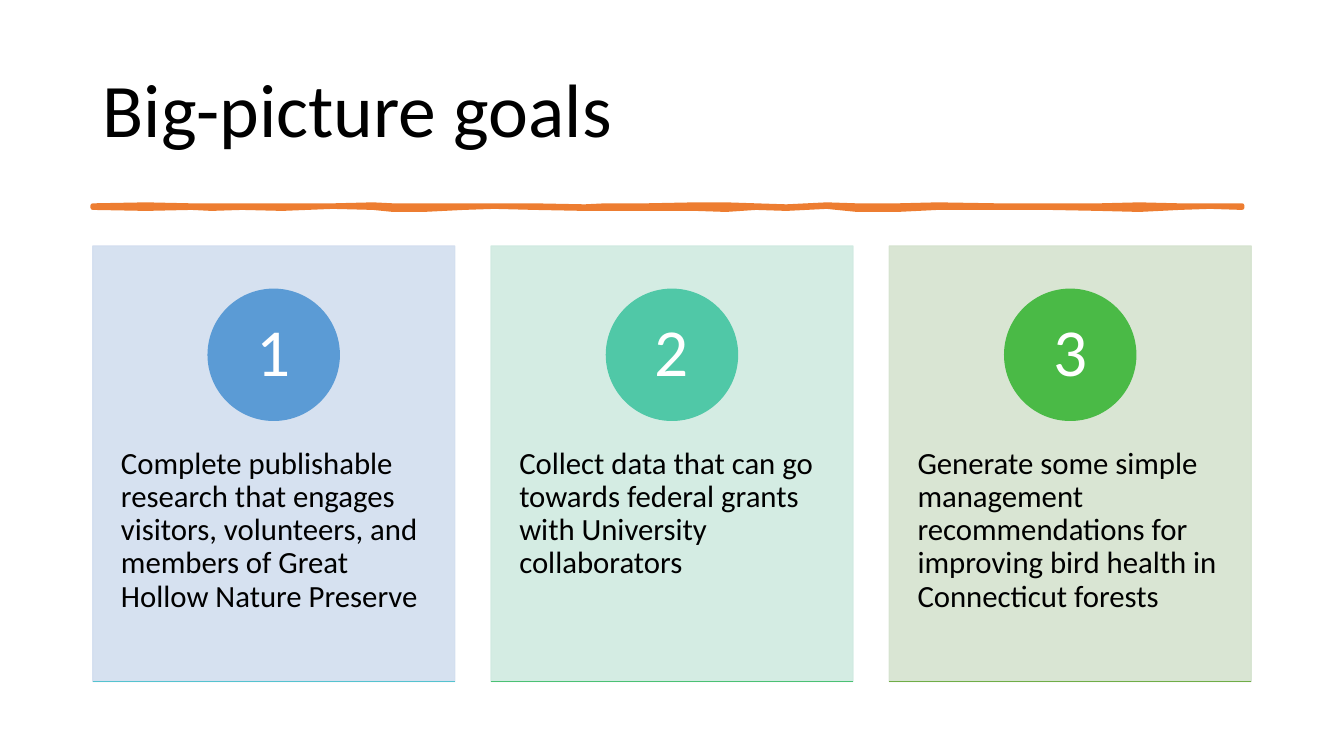
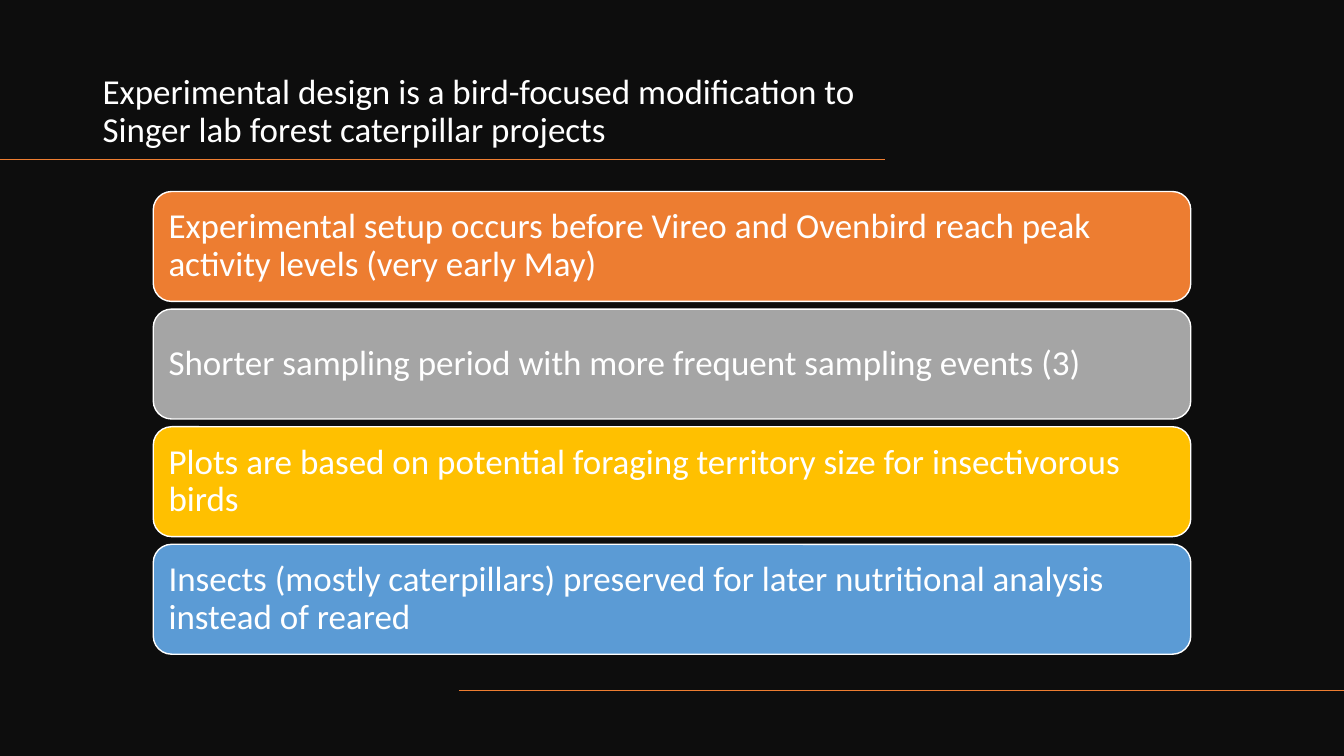
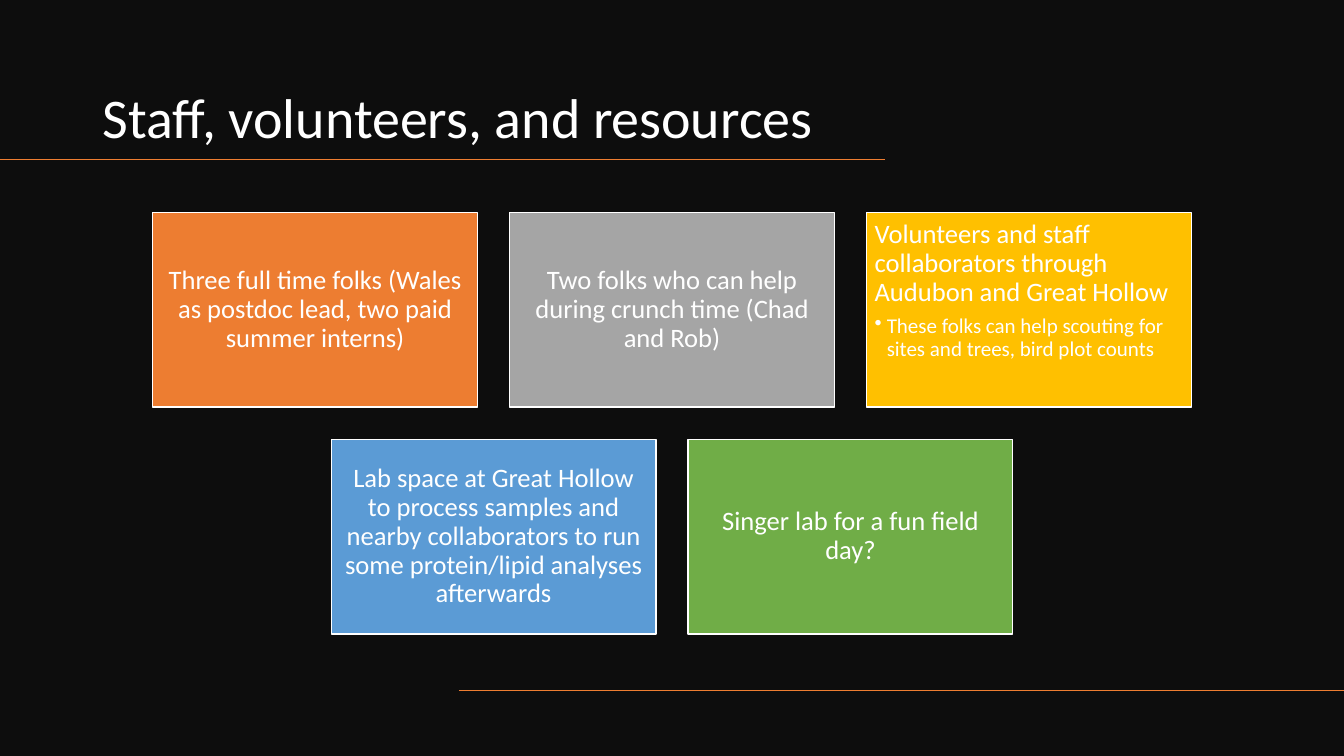
from dataclasses import dataclass

from lxml import etree
from pptx import Presentation
from pptx.dml.color import RGBColor
from pptx.enum.shapes import MSO_CONNECTOR, MSO_SHAPE
from pptx.enum.text import MSO_ANCHOR, PP_ALIGN
from pptx.oxml.ns import qn
from pptx.util import Inches, Pt

RECT = MSO_SHAPE.RECTANGLE
ROUND = MSO_SHAPE.ROUNDED_RECTANGLE
OVAL = MSO_SHAPE.OVAL
STRAIGHT = MSO_CONNECTOR.STRAIGHT
TOP, MIDDLE, BOTTOM = MSO_ANCHOR.TOP, MSO_ANCHOR.MIDDLE, MSO_ANCHOR.BOTTOM
LEFT, CENTER = PP_ALIGN.LEFT, PP_ALIGN.CENTER

WIDE, HIGH = 13.33, 7.5
FONT = "Calibri"
HEX = {
    "black": "000000", "white": "FFFFFF", "night": "0D0D0D",
    "orange": "ED7D31", "gray": "A5A5A5", "gold": "FFC000",
    "blue": "5B9BD5", "green": "70AD47",
    "pale blue": "D2DEEF", "pale teal": "D0EAE1", "pale green": "D5E3CF",
    "teal": "50C8A7", "leaf": "4ABA46", "aqua": "55C3CF", "mint": "4BC174",
}


@dataclass
class Box:
    x: float
    y: float
    w: float
    h: float


@dataclass
class Text:
    words: str
    size: float
    color: str = "white"
    align: PP_ALIGN = LEFT
    bullet: bool = False


@dataclass
class Goal:
    words: str
    card: str
    disc: str
    edge: str


@dataclass
class Tile:
    color: str
    words: str
    point: str = ""


# Content
GOALS = [
    Goal("Complete publishable research that engages visitors, volunteers, "
         "and members of Great Hollow Nature Preserve",
         "pale blue", "blue", "aqua"),
    Goal("Collect data that can go towards federal grants with University "
         "collaborators", "pale teal", "teal", "mint"),
    Goal("Generate some simple management recommendations for improving bird "
         "health in Connecticut forests", "pale green", "leaf", "green"),
]
STEPS = [
    Tile("orange", "Experimental setup occurs before Vireo and Ovenbird reach "
         "peak activity levels (very early May)"),
    Tile("gray", "Shorter sampling period with more frequent sampling events (3)"),
    Tile("gold", "Plots are based on potential foraging territory size for "
         "insectivorous birds"),
    Tile("blue", "Insects (mostly caterpillars) preserved for later nutritional "
         "analysis instead of reared"),
]
ROWS = [
    [
        Tile("orange", "Three full time folks (Wales as postdoc lead, two paid "
             "summer interns)"),
        Tile("gray", "Two folks who can help during crunch time (Chad and Rob)"),
        Tile("gold", "Volunteers and staff collaborators through Audubon and "
             "Great Hollow",
             "These folks can help scouting for sites and trees, bird plot counts"),
    ],
    [
        Tile("blue", "Lab space at Great Hollow to process samples and nearby "
             "collaborators to run some protein/lipid analyses afterwards"),
        Tile("green", "Singer lab for a fun field day?"),
    ],
]
# Brush stroke: x, top edge, bottom edge
BRUSH = [
    (0.92, 2.04, 2.06), (1.45, 2.03, 2.07), (1.9, 2.04, 2.06),
    (2.1, 2.04, 2.07), (2.4, 2.04, 2.06), (2.8, 2.04, 2.07),
    (3.3, 2.04, 2.05), (3.7, 2.03, 2.06), (3.9, 2.04, 2.08),
    (4.2, 2.04, 2.08), (4.6, 2.04, 2.06), (4.9, 2.04, 2.05),
    (5.3, 2.04, 2.06), (5.8, 2.05, 2.07), (6.0, 2.04, 2.07),
    (6.4, 2.04, 2.07), (6.9, 2.03, 2.07), (7.2, 2.03, 2.08),
    (7.5, 2.04, 2.06), (7.8, 2.05, 2.07), (8.2, 2.03, 2.05),
    (8.5, 2.04, 2.08), (8.9, 2.04, 2.08), (9.3, 2.03, 2.06),
    (9.9, 2.04, 2.06), (10.4, 2.04, 2.06), (10.9, 2.04, 2.07),
    (11.3, 2.03, 2.08), (11.7, 2.04, 2.06), (12.0, 2.04, 2.05),
    (12.32, 2.04, 2.06),
]


# Shared parts
def rgb(name: str) -> RGBColor:
    return RGBColor.from_string(HEX[name])


def write(shape, texts: list[Text], anchor: MSO_ANCHOR, pads=(0.1, 0.05, 0.1, 0.05)) -> None:
    frame = shape.text_frame
    frame.word_wrap = True
    frame.vertical_anchor = anchor
    (frame.margin_left, frame.margin_top,
     frame.margin_right, frame.margin_bottom) = map(Inches, pads)
    for i, text in enumerate(texts):
        para = frame.add_paragraph() if i else frame.paragraphs[0]
        if text.bullet:
            props = para._p.get_or_add_pPr()
            props.set("marL", str(Inches(0.12)))
            props.set("indent", str(-Inches(0.12)))
            etree.SubElement(props, qn("a:buChar")).set("char", "•")
        para.alignment = text.align
        para.line_spacing = 0.9
        if i:
            para.space_before = Pt(6)
        run = para.add_run()
        run.text = text.words
        run.font.name = FONT
        run.font.size = Pt(text.size)
        run.font.color.rgb = rgb(text.color)


def paint(shape, fill: str, line: str, width: float = 1) -> None:
    shape.shadow.inherit = False
    shape.fill.solid()
    shape.fill.fore_color.rgb = rgb(fill)
    shape.line.color.rgb = rgb(line)
    shape.line.width = Pt(width)


def draw(slide, kind: MSO_SHAPE, box: Box, fill: str, line: str):
    shape = slide.shapes.add_shape(
        kind, Inches(box.x), Inches(box.y), Inches(box.w), Inches(box.h))
    paint(shape, fill, line)
    return shape


def fade(shape, percent: int) -> None:
    for color in shape._element.spPr.iter(qn("a:srgbClr")):
        etree.SubElement(color, qn("a:alpha")).set("val", str(percent * 1000))


def rule(slide, x: float, y: float, end: float, color: str) -> None:
    line = slide.shapes.add_connector(
        STRAIGHT, Inches(x), Inches(y), Inches(end), Inches(y))
    line.line.color.rgb = rgb(color)
    line.line.width = Pt(1)
    etree.SubElement(line._element.spPr, qn("a:effectLst"))


def title(slide, box: Box, text: Text, anchor: MSO_ANCHOR) -> None:
    shape = slide.shapes.add_textbox(
        Inches(box.x), Inches(box.y), Inches(box.w), Inches(box.h))
    write(shape, [text], anchor)


def blank(deck):
    return deck.slides.add_slide(deck.slide_layouts[6])


def dark(deck, words: str, size: float):
    slide = blank(deck)
    back = slide.background.fill
    back.solid()
    back.fore_color.rgb = rgb("night")
    title(slide, Box(0.92, 0.42, 7.86, 1.12), Text(words, size), BOTTOM)
    rule(slide, 0, 1.58, 8.78, "orange")
    rule(slide, 4.55, 6.85, WIDE, "orange")
    return slide


# Slides
def brush(slide) -> None:
    edge = [(x, top) for x, top, _ in BRUSH]
    edge += [(x, low) for x, _, low in reversed(BRUSH)]
    points = [(Inches(x), Inches(y)) for x, y in edge]
    form = slide.shapes.build_freeform(*points[0], scale=1.0)
    form.add_line_segments(points[1:], close=True)
    paint(form.convert_to_shape(), "orange", "orange", 3.25)


def goals(deck) -> None:
    slide = blank(deck)
    title(slide, Box(0.92, 0.4, 11.5, 1.45),
          Text("Big-picture goals", 54, "black"), MIDDLE)
    brush(slide)
    wide, high, top, gap, disc = 3.59, 4.32, 2.44, 0.36, 1.3
    for i, goal in enumerate(GOALS):
        x = 0.92 + i * (wide + gap)
        card = draw(slide, RECT, Box(x, top, wide, high), goal.card, goal.card)
        fade(card, 90)
        write(card, [Text(goal.words, 22, "black")], TOP, (0.28, 2, 0.28, 0.36))
        spot = Box(x + (wide - disc) / 2, top + 0.43, disc, disc)
        badge = draw(slide, OVAL, spot, goal.disc, goal.disc)
        write(badge, [Text(str(i + 1), 48, align=CENTER)], MIDDLE,
              (0.1, 0.01, 0.1, 0.01))
        rule(slide, x, top + high, x + wide, goal.edge)


def design(deck) -> None:
    slide = dark(deck, "Experimental design is a bird-focused modification to "
                 "Singer lab forest caterpillar projects", 25)
    wide, high, pitch = 10.29, 1.09, 1.167
    pitch = (5.4 - 1.9) / (len(STEPS) - 1)
    for i, step in enumerate(STEPS):
        box = Box((WIDE - wide) / 2, 1.9 + i * pitch, wide, high)
        bar = draw(slide, ROUND, box, step.color, "white")
        write(bar, [Text(step.words, 25)], MIDDLE, (0.1,) * 4)


def staff(deck) -> None:
    slide = dark(deck, "Staff, volunteers, and resources", 40)
    wide, high, gap = 3.22, 1.93, 0.32
    for r, row in enumerate(ROWS):
        left = (WIDE - len(row) * (wide + gap) + gap) / 2
        for c, tile in enumerate(row):
            box = Box(left + c * (wide + gap), 2.11 + r * (high + gap), wide, high)
            shape = draw(slide, RECT, box, tile.color, "white")
            texts = [Text(tile.words, 19, align=LEFT if tile.point else CENTER)]
            if tile.point:
                texts.append(Text(tile.point, 15, bullet=True))
            write(shape, texts, TOP if tile.point else MIDDLE, (0.08,) * 4)


def main() -> None:
    deck = Presentation()
    deck.slide_width, deck.slide_height = Inches(WIDE), Inches(HIGH)
    goals(deck)
    design(deck)
    staff(deck)
    deck.save("out.pptx")


if __name__ == "__main__":
    main()
